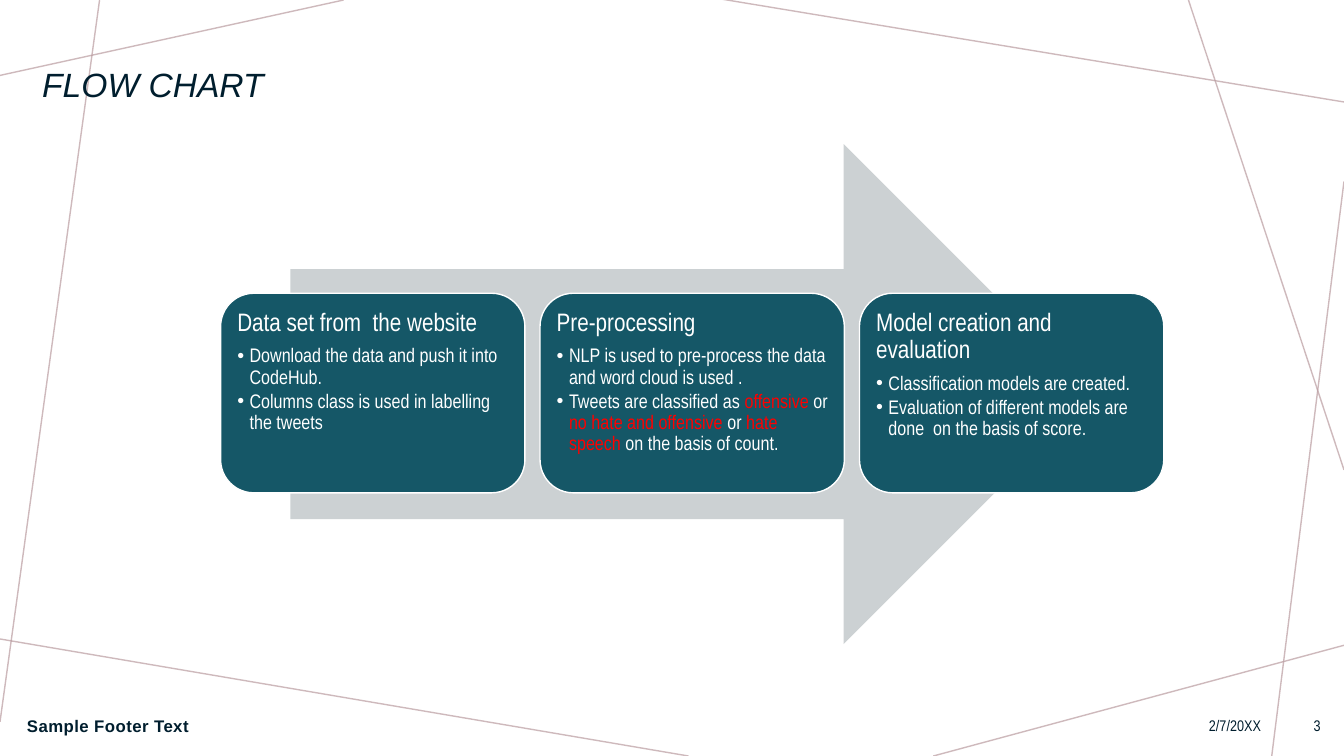
"""Build the flow chart slide with three cards on a wide arrow."""
import lxml.etree
import pptx
import pptx.dml.color
import pptx.enum.shapes
import pptx.enum.text
import pptx.oxml.ns
import pptx.util

Cm = pptx.util.Cm
Pt = pptx.util.Pt
RGBColor = pptx.dml.color.RGBColor
SHAPE = pptx.enum.shapes.MSO_SHAPE
ALIGN = pptx.enum.text.PP_ALIGN
ANCHOR = pptx.enum.text.MSO_ANCHOR
FIT = pptx.enum.text.MSO_AUTO_SIZE

NAVY = RGBColor(0x00, 0x1E, 0x2E)
TEAL = RGBColor(0x15, 0x57, 0x67)
GREY = RGBColor(0xCC, 0xD1, 0xD3)
ROSE = RGBColor(0xBA, 0x9C, 0xA0)
WHITE = RGBColor(0xFF, 0xFF, 0xFF)
RED = RGBColor(0xFF, 0x00, 0x00)

WIDE, HIGH = 33.87, 19.05
LINES = [
    (8.66, 0, 0, 1.9),
    (2.51, 0, 0, 18.19),
    (17.35, HIGH, -0.13, 16.08),
    (WIDE, 16.26, 23.52, HIGH),
    (WIDE, 4.57, 32.05, HIGH),
    (WIDE, 11.84, 29.95, 0),
    (WIDE, 2.57, 18.14, -0.03),
]
CARDS = [
    ("Data set from  the website", [
        [("Download the data and push it into CodeHub.", WHITE)],
        [("Columns class is used in labelling the tweets", WHITE)],
    ]),
    ("Pre-processing", [
        [("NLP is used to pre-process the data and word cloud is used .", WHITE)],
        [("Tweets are classified as ", WHITE), ("offensive ", RED),
         ("or ", WHITE), ("no hate and offensive", RED), (" or ", WHITE),
         ("hate speech", RED), (" on the basis of count.", WHITE)],
    ]),
    ("Model creation and evaluation", [
        [("Classification models are created.", WHITE)],
        [("Evaluation of different models are  done  on the basis of score.", WHITE)],
    ]),
]
CARD_LEFT, CARD_TOP, CARD_STEP = 5.56, 7.39, 8.05
CARD_WIDE, CARD_HIGH, CARD_PAD = 7.67, 5.03, 0.24
HEAD = {"name": "Arial Narrow", "size": Pt(18), "bold": False}
ITEM = {"name": "Arial Narrow", "size": Pt(14), "bold": False}
SMALL = {"name": "Arial Narrow", "size": Pt(11)}
FOOT = {"name": "Arial", "size": Pt(12), "bold": True}
TITLE = {"name": "Arial", "size": Pt(24), "italic": True, "bold": False}


def put(thing, values):
    """Set each named value on the thing."""
    for name, value in values.items():
        setattr(thing, name, value)


def node(parent, tag, **values):
    """Add an XML child with the given attributes."""
    return lxml.etree.SubElement(parent, pptx.oxml.ns.qn(tag), values)


def place(shape, left, top, wide, high):
    """Move and size a shape, in centimetres."""
    put(shape, {"left": Cm(left), "top": Cm(top),
                "width": Cm(wide), "height": Cm(high)})


def write(para, text, font, color):
    """Add one styled run to a paragraph."""
    run = para.add_run()
    run.text = text
    put(run.font, font)
    run.font.color.rgb = color
    return run


def add_line(slide, ends):
    """Draw one thin, see-through background line."""
    kind = pptx.enum.shapes.MSO_CONNECTOR.STRAIGHT
    line = slide.shapes.add_connector(kind, *[Cm(end) for end in ends])
    line.line.width = Pt(1)
    line.line.color.rgb = ROSE
    props = line.element.spPr
    tint = next(props.iter(pptx.oxml.ns.qn("a:srgbClr")))
    node(tint, "a:alpha", val="70000")
    node(props, "a:effectLst")


def add_block(slide, kind, box, fill, edge=None):
    """Draw a flat preset shape."""
    block = slide.shapes.add_shape(kind, *[Cm(size) for size in box])
    block.shadow.inherit = False
    block.fill.solid()
    block.fill.fore_color.rgb = fill
    if edge is None:
        block.line.fill.background()
    else:
        block.line.color.rgb = edge
        block.line.width = Pt(1)


def add_note(slide, box, text, font, align):
    """Add one line of footer text."""
    note = slide.shapes.add_textbox(*[Cm(size) for size in box])
    frame = note.text_frame
    put(frame, {"word_wrap": True, "vertical_anchor": ANCHOR.MIDDLE})
    para = frame.paragraphs[0]
    para.alignment = align
    return write(para, text, font, NAVY)


def set_title(slide, text):
    """Style the title and lift it above the lines."""
    title = slide.shapes.title
    slide.shapes.element.append(title.element)
    place(title, 0.81, 0.25, 27.51, 3.84)
    frame = title.text_frame
    put(frame, {"vertical_anchor": ANCHOR.MIDDLE, "auto_size": FIT.NONE})
    para = frame.paragraphs[0]
    put(para, {"alignment": ALIGN.LEFT, "line_spacing": 0.9})
    write(para, text, TITLE, NAVY)


def set_para(para, after, mark):
    """Set spacing and an optional bullet."""
    put(para, {"alignment": ALIGN.LEFT, "line_spacing": 0.9,
               "space_before": Pt(0), "space_after": Pt(after),
               "level": 1 if mark else 0})
    props = para._p.get_or_add_pPr()
    dent = Cm(0.31) if mark else 0
    props.set("marL", str(dent))
    props.set("indent", str(-dent))
    if mark:
        node(props, "a:buFont", typeface="Arial")
        node(props, "a:buChar", char=mark)
    else:
        node(props, "a:buNone")


def add_card(slide, body, left, head, items):
    """Draw a card and fill its body placeholder."""
    add_block(slide, SHAPE.ROUNDED_RECTANGLE,
              (left, CARD_TOP, CARD_WIDE, CARD_HIGH), TEAL, WHITE)
    slide.shapes.element.append(body.element)
    place(body, left + CARD_PAD, CARD_TOP + CARD_PAD,
          CARD_WIDE - 2 * CARD_PAD, CARD_HIGH - 2 * CARD_PAD)
    frame = body.text_frame
    sides = ("left", "top", "right", "bottom")
    put(frame, {f"margin_{side}": Cm(0.18) for side in sides})
    put(frame, {"vertical_anchor": ANCHOR.TOP, "auto_size": FIT.NONE,
                "word_wrap": True})
    para = frame.paragraphs[0]
    set_para(para, 6.3, None)
    write(para, head, HEAD, WHITE)
    for item in items:
        para = frame.add_paragraph()
        set_para(para, 2.1, "•")
        for text, color in item:
            write(para, text, ITEM, color)


def main():
    """Build and save the slide."""
    deck = pptx.Presentation()
    put(deck, {"slide_width": Cm(WIDE), "slide_height": Cm(HIGH)})
    slide = deck.slides.add_slide(deck.slide_layouts.get_by_name("Comparison"))
    bodies = list(slide.placeholders)[1:]
    for ends in LINES:
        add_line(slide, ends)
    set_title(slide, "FLOW CHART")
    foot = add_note(slide, (0.43, 17.78, 12.5, 1.02),
                    "Sample Footer Text", FOOT, ALIGN.LEFT)
    foot.font._element.set("spc", "30")
    add_note(slide, (20.37, 17.78, 11.66, 1.02), "2/7/20XX", SMALL, ALIGN.RIGHT)
    add_note(slide, (32.23, 17.78, 1.3, 1.02), "3", SMALL, ALIGN.RIGHT)
    add_block(slide, SHAPE.RIGHT_ARROW, (7.32, 3.63, 20.24, 12.6), GREY)
    for step, (body, (head, items)) in enumerate(zip(bodies, CARDS)):
        add_card(slide, body, CARD_LEFT + step * CARD_STEP, head, items)
    for spare in bodies[len(CARDS):]:
        slide.shapes.element.remove(spare.element)
    deck.save("out.pptx")


if __name__ == "__main__":
    main()
